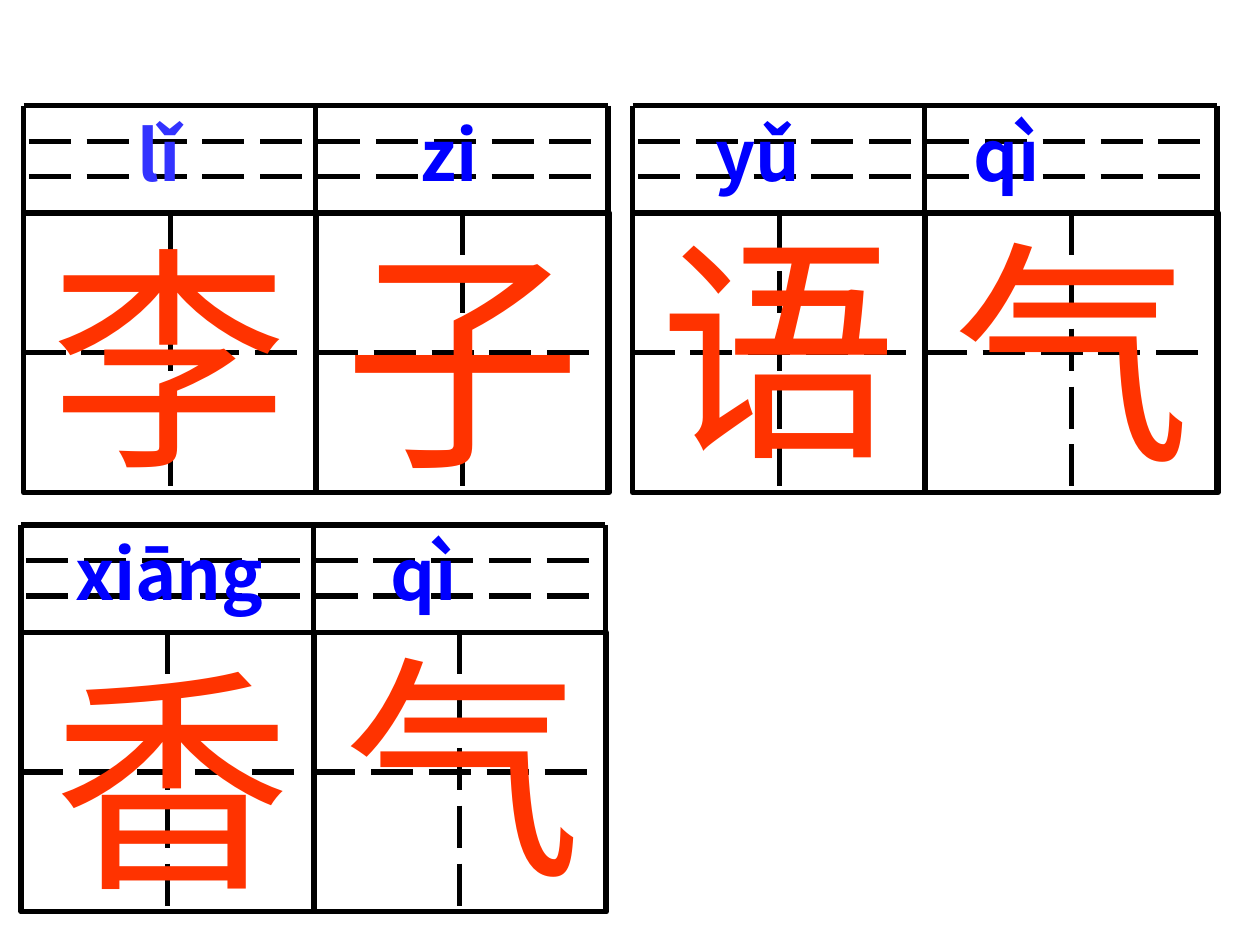
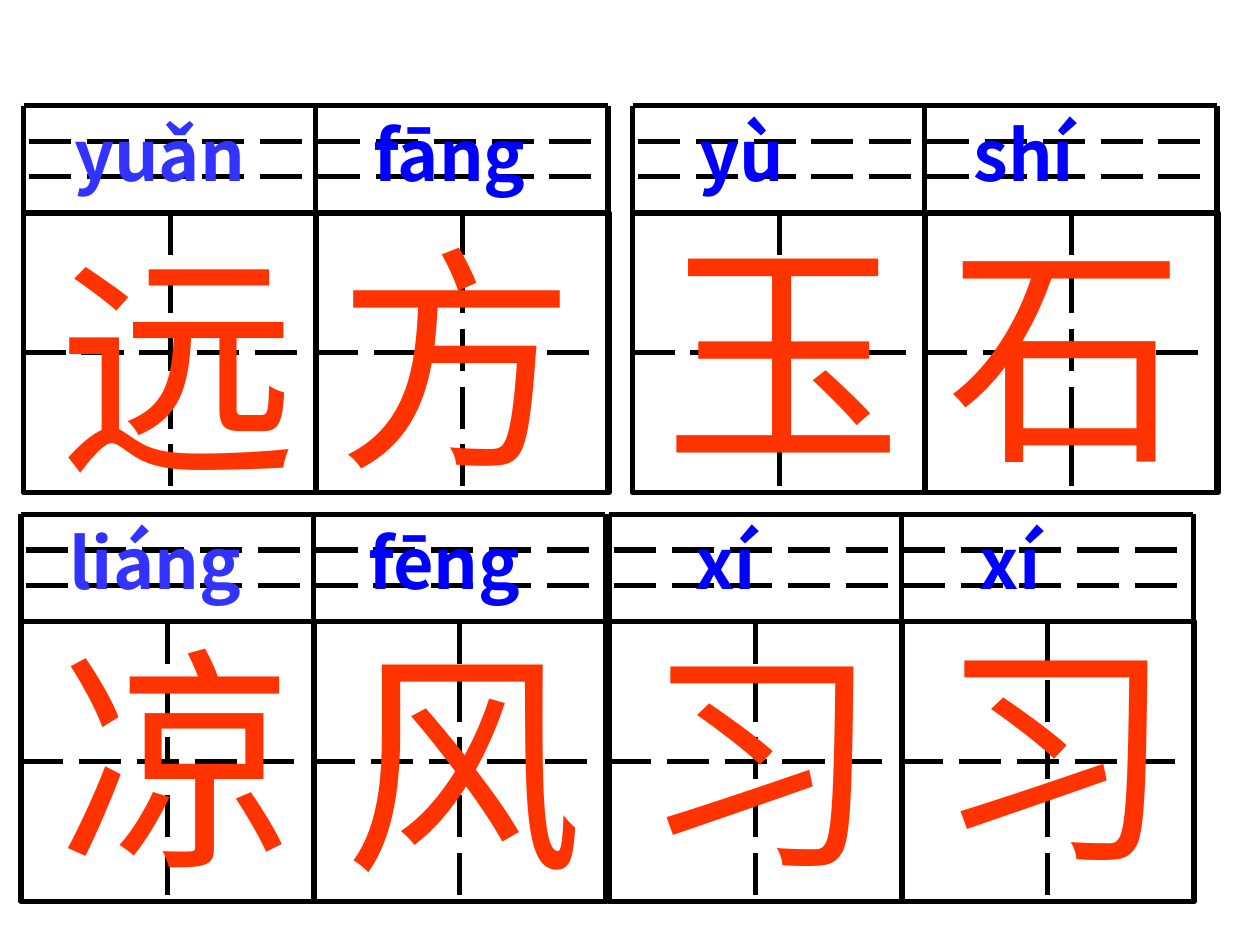
from lxml import etree
from pptx import Presentation
from pptx.dml.color import RGBColor
from pptx.enum.dml import MSO_LINE
from pptx.enum.shapes import MSO_CONNECTOR, MSO_SHAPE
from pptx.enum.text import MSO_ANCHOR, MSO_AUTO_SIZE
from pptx.oxml.ns import qn
from pptx.util import Pt

STRAIGHT = MSO_CONNECTOR.STRAIGHT
RECTANGLE = MSO_SHAPE.RECTANGLE
LONG_DASH = MSO_LINE.LONG_DASH
FIT_SHAPE = MSO_AUTO_SIZE.SHAPE_TO_FIT_TEXT
TOP_ANCHOR = MSO_ANCHOR.TOP
TOP, LEFT, BOTTOM = 0, 1, 2

COLORS = {"grid": "000000", "character": "FF3300", "pinyin": "0000FF", "first": "3333FF"}
CHARACTER_FONT = {"name": "Arial", "size": Pt(136)}
PINYIN_FONT = {"name": "Noto Sans CJK SC", "size": Pt(40), "bold": True}
FRAME_FORMAT = {"word_wrap": True, "auto_size": FIT_SHAPE, "vertical_anchor": TOP_ANCHOR,
                "margin_left": Pt(7.2), "margin_right": Pt(7.2),
                "margin_top": Pt(3.6), "margin_bottom": Pt(3.6)}

SLIDE_WIDTH, SLIDE_HEIGHT = 720, 540
CELL_PITCH, CELL_WIDTH, CELL_HEIGHT = 167, 167.5, 159.75
PINYIN_HEIGHT, RULE_GAP, RULE_INDENT = 61.25, 20.25, 3
PANEL_WIDTH = 2 * CELL_PITCH
LINE_WIDTH = 3

# Each row: top, pinyin as (word, start), panels as (left, characters with cell offsets).
SLIDES = [
    [
        {"top": 60.5, "first": "first",
         "pinyin": [("lǐ", 78.5), ("zi", 240.5), ("yǔ", 409), ("qì", 556.5)],
         "panels": [(13.5, [("李", 8, -4.5), ("子", 8.5, -4.5)]),
                    (361.5, [("语", 8, -10), ("气", 9.5, -8)])]},
        {"top": 300, "first": "pinyin",
         "pinyin": [("xiāng", 43), ("qì", 223)],
         "panels": [(12, [("香", 11.5, -3.5), ("气", 11, -10)])]},
    ],
    [
        {"top": 60.5, "first": "first",
         "pinyin": [("yuǎn", 42.5), ("fāng", 213.5), ("yù", 400), ("shí", 556.5)],
         "panels": [(13.5, [("远", 13.5, -1.5), ("方", 5, -4.5)]),
                    (361.5, [("玉", 11, -8), ("石", 6, -8)])]},
        {"top": 294, "first": "first",
         "pinyin": [("liáng", 40), ("fēng", 210.5), ("xí", 397.5), ("xí", 560)],
         "panels": [(12, [("凉", 15, -9.5), ("风", 11, -7)]),
                    (348, [("习", 12, -9.5), ("习", 13, -13)])]},
    ],
]


def apply_format(target, values):
    """Set each attribute of the target from a dict."""
    for name, value in values.items():
        setattr(target, name, value)


def style_line(line):
    """Give a line the grid colour and width."""
    line.color.rgb = RGBColor.from_string(COLORS["grid"])
    line.width = Pt(LINE_WIDTH)


def add_line(shapes, start, end, dashed=False):
    """Draw a grid line between two points."""
    connector = shapes.add_connector(STRAIGHT, *map(Pt, (*start, *end)))
    style_line(connector.line)
    if dashed:
        connector.line.dash_style = LONG_DASH
    etree.SubElement(connector._element.spPr, qn("a:effectLst"))
    return connector


def add_text_frame(slide, left, top, width, height):
    """Add a text box and return its formatted frame."""
    text_frame = slide.shapes.add_textbox(*map(Pt, (left, top, width, height))).text_frame
    apply_format(text_frame, FRAME_FORMAT)
    return text_frame


def add_run(paragraph, text, font_format, color):
    """Add a run with a font and a named colour."""
    run = paragraph.add_run()
    run.text = text
    apply_format(run.font, font_format)
    run.font.color.rgb = RGBColor.from_string(COLORS[color])


def add_cell(shapes, left, top):
    """Draw one writing square with its dashed cross."""
    square = shapes.add_shape(RECTANGLE, *map(Pt, (left, top, CELL_WIDTH, CELL_HEIGHT)))
    square.shadow.inherit = False
    square.fill.background()
    style_line(square.line)
    center, middle = left + CELL_WIDTH / 2, top + CELL_HEIGHT / 2
    upright = add_line(shapes, (center, top), (center, top + CELL_HEIGHT), True)
    upright.begin_connect(square, TOP)
    upright.end_connect(square, BOTTOM)
    level = add_line(shapes, (left, middle), (left + CELL_PITCH - RULE_INDENT, middle), True)
    level.begin_connect(square, LEFT)


def add_panel(slide, left, top):
    """Draw a two-cell panel with pinyin rules above the squares."""
    shapes = slide.shapes.add_group_shape().shapes
    right, bottom = left + PANEL_WIDTH, top + PINYIN_HEIGHT + CELL_HEIGHT
    for column in range(2):
        add_cell(shapes, left + column * CELL_PITCH, top + PINYIN_HEIGHT)
    add_line(shapes, (left, top), (right, top))
    for rule in (1, 2):
        y = top + rule * RULE_GAP
        add_line(shapes, (left + RULE_INDENT, y), (right, y), True)
    for column in range(3):
        x = left + column * CELL_PITCH
        add_line(shapes, (x, top), (x, bottom))


def add_characters(slide, left, top, characters):
    """Write the large characters over the squares of a panel."""
    for column, (character, shift_x, shift_y) in enumerate(characters):
        text_frame = add_text_frame(slide, left + column * CELL_PITCH + shift_x,
                                    top + PINYIN_HEIGHT + shift_y, 164.5, 170.5)
        add_run(text_frame.paragraphs[0], character, CHARACTER_FONT, "character")


def add_pinyin(slide, top, words, first_color):
    """Write a row of pinyin, with one tab stop for each word."""
    text_frame = add_text_frame(slide, 0, top - 0.5, SLIDE_WIDTH, 55.5)
    paragraph = text_frame.paragraphs[0]
    tab_list = etree.SubElement(paragraph._p.get_or_add_pPr(), qn("a:tabLst"))
    for index, (word, start) in enumerate(words):
        position = Pt(start) - text_frame.margin_left
        etree.SubElement(tab_list, qn("a:tab"), pos=str(position), algn="l")
        add_run(paragraph, "\t" + word, PINYIN_FONT, "pinyin" if index else first_color)


def add_row(slide, row):
    """Build the panels, characters and pinyin of one row."""
    for left, characters in row["panels"]:
        add_panel(slide, left, row["top"])
        add_characters(slide, left, row["top"], characters)
    add_pinyin(slide, row["top"], row["pinyin"], row["first"])


def main():
    """Build the character slides and save them."""
    presentation = Presentation()
    presentation.slide_width, presentation.slide_height = Pt(SLIDE_WIDTH), Pt(SLIDE_HEIGHT)
    for rows in SLIDES:
        slide = presentation.slides.add_slide(presentation.slide_layouts[6])
        for row in rows:
            add_row(slide, row)
    presentation.save("out.pptx")


if __name__ == "__main__":
    main()
